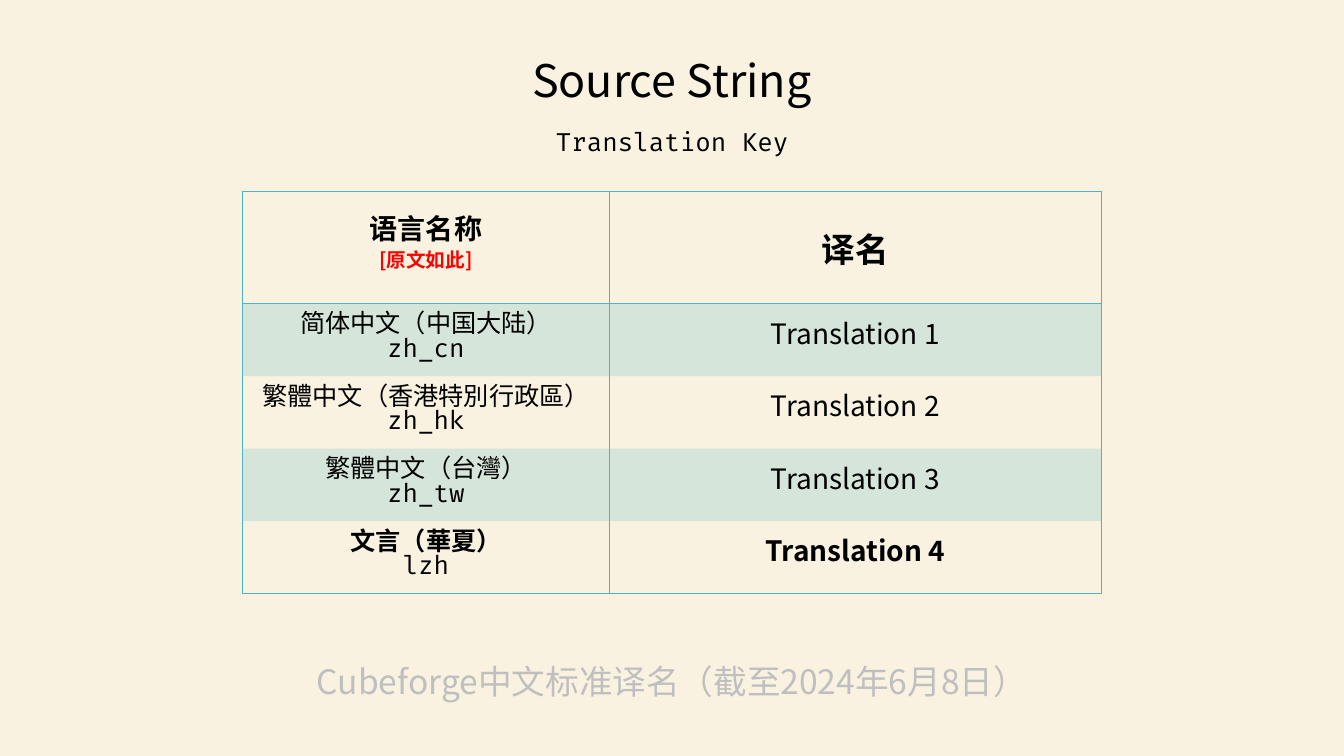
from dataclasses import dataclass

from lxml import etree
from pptx import Presentation
from pptx.dml.color import RGBColor
from pptx.enum.text import MSO_ANCHOR, MSO_AUTO_SIZE, PP_ALIGN
from pptx.oxml.ns import qn
from pptx.util import Pt

CENTER = PP_ALIGN.CENTER
TOP = MSO_ANCHOR.TOP
MIDDLE = MSO_ANCHOR.MIDDLE
NO_FIT = MSO_AUTO_SIZE.NONE


@dataclass(frozen=True)
class Theme:
    paper: str = "F9F2E0"
    ink: str = "000000"
    accent: str = "4AB5C4"
    alert: str = "FF0000"
    muted: str = "BFBFBF"
    sans: str = "Noto Sans CJK SC"
    sans_bold: str = "Noto Sans CJK JP"
    mono: str = "Fira Code"
    title: int = 32
    heading: int = 24
    label: int = 20
    body: int = 18
    note: int = 14
    line: int = 18
    band_alpha: int = 20000


THEME = Theme()

TITLE = "Source String"
KEY = "Translation Key"
FOOTER = "Cubeforge中文标准译名（截至2024年6月8日）"
HEADER = ("语言名称", "[原文如此]", "译名")
LANGUAGES = [
    ("简体中文（中国大陆）", "zh_cn", "Translation 1"),
    ("繁體中文（香港特別行政區）", "zh_hk", "Translation 2"),
    ("繁體中文（台灣）", "zh_tw", "Translation 3"),
    ("文言（華夏）", "lzh", "Translation 4"),
]

SLIDE_SIZE = (960, 540)
TITLE_BOX = (363.6, 33.8, 232.6, 46)
KEY_BOX = (388.8, 86.4, 182.9, 29)
FOOTER_BOX = (208.1, 468.7, 543.6, 36)
TABLE_ORIGIN = (173.3, 136.8)
COLUMN_WIDTHS = (262, 351.5)
ROW_HEIGHTS = [80] + [51.8] * len(LANGUAGES)


def style_para(para, text, size, font, color=THEME.ink, bold=False, line=None):
    para.text = text
    para.alignment = CENTER
    if line:
        para.line_spacing = Pt(line)
    for span in para.runs:
        span.font.size = Pt(size)
        span.font.bold = bold
        span.font.name = font
        span.font.color.rgb = RGBColor.from_string(color)
        east_asian = etree.SubElement(span.font._element, qn("a:ea"))
        east_asian.set("typeface", font)


def place_text(box, area, wrap, *style):
    box.left, box.top, box.width, box.height = map(Pt, area)
    frame = box.text_frame
    frame.word_wrap = wrap
    frame.auto_size = NO_FIT
    frame.vertical_anchor = TOP
    style_para(frame.paragraphs[0], *style)


def fill_cell(cell, lines):
    cell.vertical_anchor = MIDDLE
    frame = cell.text_frame
    for index, style in enumerate(lines):
        para = frame.add_paragraph() if index else frame.paragraphs[0]
        style_para(para, *style)


def set_borders(cell, drawn):
    properties = cell._tc.get_or_add_tcPr()
    for index, side in enumerate("LRTB"):
        border = etree.Element(qn(f"a:ln{side}"), w=str(Pt(1)))
        if side in drawn:
            paint = etree.SubElement(border, qn("a:solidFill"))
            etree.SubElement(paint, qn("a:srgbClr"), val=THEME.accent)
        else:
            etree.SubElement(border, qn("a:noFill"))
        properties.insert(index, border)


def set_band(cell, banded):
    if not banded:
        cell.fill.background()
        return
    cell.fill.solid()
    cell.fill.fore_color.rgb = RGBColor.from_string(THEME.accent)
    color = cell._tc.tcPr.find(qn("a:solidFill")).find(qn("a:srgbClr"))
    etree.SubElement(color, qn("a:alpha"), val=str(THEME.band_alpha))


def table_lines():
    name, note, translation = HEADER
    yield (
        [(name, THEME.label, THEME.sans, THEME.ink, True, THEME.line),
         (note, THEME.note, THEME.sans, THEME.alert, True, THEME.line)],
        [(translation, THEME.heading, THEME.sans, THEME.ink, True)],
    )
    for name, code, translation in LANGUAGES:
        bold = name == LANGUAGES[-1][0]
        font = THEME.sans_bold if bold else THEME.sans
        yield (
            [(name, THEME.body, THEME.sans, THEME.ink, bold, THEME.line),
             (code, THEME.body, THEME.mono, THEME.ink, False, THEME.line)],
            [(translation, THEME.label, font, THEME.ink, bold, THEME.line)],
        )


def add_translations(page):
    size = (sum(COLUMN_WIDTHS), sum(ROW_HEIGHTS))
    table = page.shapes.add_table(
        len(ROW_HEIGHTS), len(COLUMN_WIDTHS), *map(Pt, TABLE_ORIGIN + size)
    ).table
    table.first_row = False
    table.horz_banding = False
    for column, width in zip(table.columns, COLUMN_WIDTHS):
        column.width = Pt(width)
    for row, height in zip(table.rows, ROW_HEIGHTS):
        row.height = Pt(height)
    last = len(ROW_HEIGHTS) - 1
    for row_index, row_lines in enumerate(table_lines()):
        sides = {0: "LRTB", 1: "LRT", last: "LRB"}.get(row_index, "LR")
        for column_index, lines in enumerate(row_lines):
            cell = table.cell(row_index, column_index)
            fill_cell(cell, lines)
            if row_index:
                cell.margin_left = cell.margin_right = Pt(0.75)
                cell.margin_top = cell.margin_bottom = Pt(0)
            set_band(cell, row_index % 2 == 1)
            set_borders(cell, sides)


def main():
    deck = Presentation()
    deck.slide_width, deck.slide_height = map(Pt, SLIDE_SIZE)
    page = deck.slides.add_slide(deck.slide_layouts[5])
    page.background.fill.solid()
    page.background.fill.fore_color.rgb = RGBColor.from_string(THEME.paper)

    place_text(page.shapes.title, TITLE_BOX, False, TITLE, THEME.title, THEME.sans)
    footer = page.shapes.add_textbox(*map(Pt, FOOTER_BOX))
    place_text(footer, FOOTER_BOX, True, FOOTER, THEME.heading, THEME.sans, THEME.muted)
    add_translations(page)
    key = page.shapes.add_textbox(*map(Pt, KEY_BOX))
    place_text(key, KEY_BOX, False, KEY, THEME.body, THEME.mono)
    deck.save("out.pptx")


if __name__ == "__main__":
    main()
